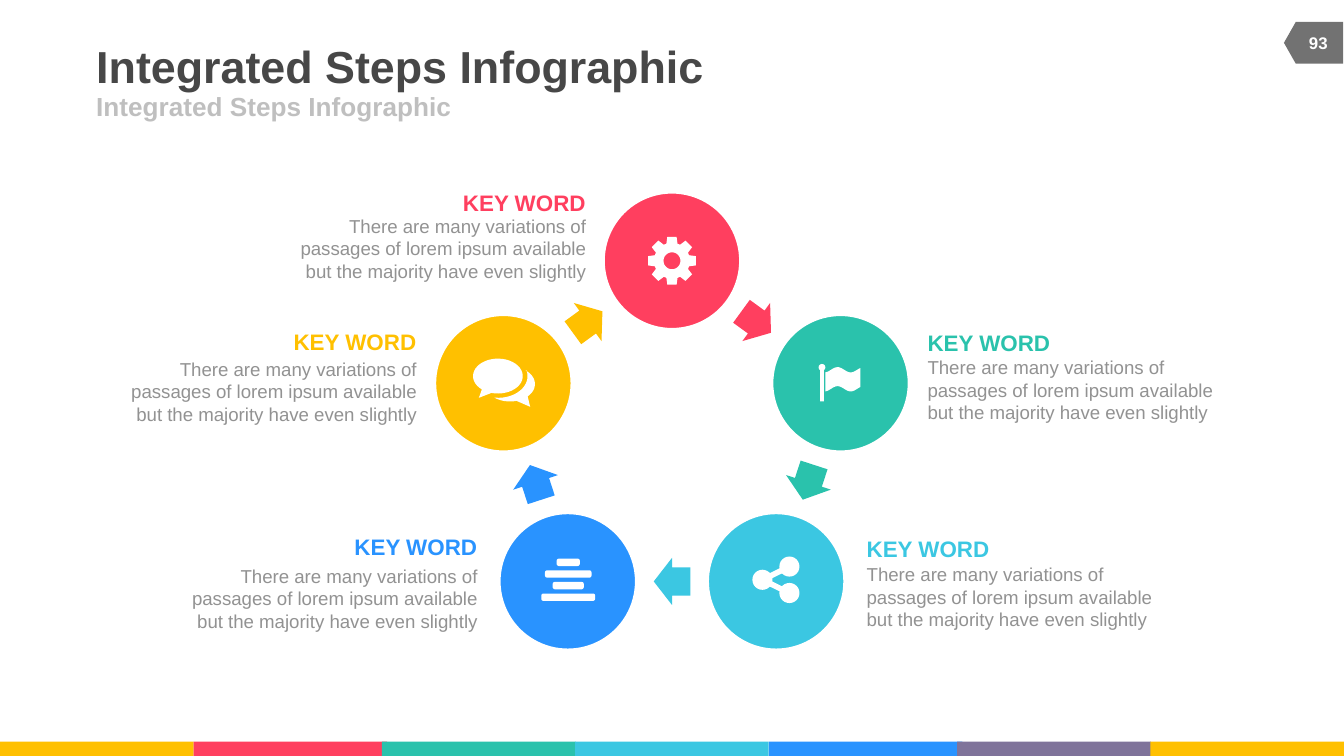
import math

import pptx
import pptx.dml.color
import pptx.enum.shapes
import pptx.enum.text
import pptx.oxml
import pptx.oxml.ns
import pptx.util

Cm = pptx.util.Cm
Pt = pptx.util.Pt
SHAPE = pptx.enum.shapes.MSO_SHAPE
ALIGN = pptx.enum.text.PP_ALIGN

WHITE, GREY = "FFFFFF", "929292"
RED, TEAL, CYAN, BLUE, YELLOW = "FF3F5F", "2AC2AC", "3BC7E2", "2993FF", "FFC000"
PURPLE = "7F739A"
RING_X, RING_Y, RING_RADIUS, ARROW_RADIUS = 12.7, 8.28, 3.35, 2.71
BODY = ("There are many variations of passages of lorem ipsum available "
        "but the majority have even slightly")
STEPS = [
    (RED, ALIGN.RIGHT, 11.07, 3.58, 4.06),
    (TEAL, ALIGN.LEFT, 17.53, 6.22, 6.73),
    (CYAN, ALIGN.LEFT, 16.38, 10.11, 10.64),
    (BLUE, ALIGN.RIGHT, 9.02, 10.08, 10.67),
    (YELLOW, ALIGN.RIGHT, 7.87, 6.2, 6.76),
]


def rgb(color):
    return pptx.dml.color.RGBColor.from_string(color)


def paint(shape, color):
    shape.shadow.inherit = False
    shape.fill.solid()
    shape.fill.fore_color.rgb = rgb(color)
    shape.line.fill.background()


def add_block(slide, kind, left, top, width, height, color):
    shape = slide.shapes.add_shape(kind, Cm(left), Cm(top), Cm(width), Cm(height))
    paint(shape, color)
    return shape


def add_centred(slide, kind, x, y, width, height, color):
    return add_block(slide, kind, x - width / 2, y - height / 2, width, height, color)


def add_outline(slide, color, *contours):
    builder = None
    for contour in contours:
        points = [(Cm(x), Cm(y)) for x, y in contour]
        if builder is None:
            builder = slide.shapes.build_freeform(*points[0], scale=1.0)
        else:
            builder.move_to(*points[0])
        builder.add_line_segments(points[1:], close=True)
    paint(builder.convert_to_shape(), color)


def add_text(slide, text, left, top, width, height, size, color,
             bold=False, align=ALIGN.LEFT):
    box = slide.shapes.add_textbox(Cm(left), Cm(top), Cm(width), Cm(height))
    frame = box.text_frame
    frame.word_wrap = True
    frame.vertical_anchor = pptx.enum.text.MSO_ANCHOR.MIDDLE
    frame.margin_left = frame.margin_right = 0
    frame.margin_top = frame.margin_bottom = 0
    para = frame.paragraphs[0]
    para.alignment = align
    span = para.add_run()
    span.text = text
    span.font.name = "Arial"
    span.font.size = Pt(size)
    span.font.bold = bold
    span.font.color.rgb = rgb(color)


def add_link(slide, start, end):
    link = slide.shapes.add_connector(
        pptx.enum.shapes.MSO_CONNECTOR.STRAIGHT,
        Cm(start[0]), Cm(start[1]), Cm(end[0]), Cm(end[1]))
    link.line.color.rgb = rgb(WHITE)
    link.line.width = Pt(3)
    properties = link._element.spPr
    properties.append(pptx.oxml.parse_xml(
        "<a:effectLst %s/>" % pptx.oxml.ns.nsdecls("a")))


def polar(x, y, radius, degrees):
    angle = math.radians(degrees)
    return x + radius * math.sin(angle), y - radius * math.cos(angle)


def arc(x, y, radius_x, radius_y, first, last, count=40):
    angles = [math.radians(first + (last - first) * i / count) for i in range(count + 1)]
    return [(x + radius_x * math.cos(a), y + radius_y * math.sin(a)) for a in angles]


def add_step(slide, index, color, align, edge, heading_top, body_top):
    turn = 72 * index
    x, y = polar(RING_X, RING_Y, RING_RADIUS, turn)
    circle = add_centred(slide, SHAPE.OVAL, x, y, 2.61, 2.61, color)
    circle.line.color.rgb = rgb(WHITE)
    circle.line.width = Pt(2)
    x, y = polar(RING_X, RING_Y, ARROW_RADIUS, turn + 36)
    arrow = add_centred(slide, SHAPE.RIGHT_ARROW, x, y, 0.69, 0.89, color)
    arrow.adjustments[0], arrow.adjustments[1] = 0.6, 0.5
    arrow.rotation = turn + 36
    for text, top, width, height, size, ink, bold in (
            ("KEY WORD", heading_top, 2.4, 0.51, 12, color, True),
            (BODY, body_top, 5.45, 1.27, 10, GREY, False)):
        left = edge - width if align == ALIGN.RIGHT else edge
        add_text(slide, text, left, top, width, height, size, ink, bold, align)


def add_gear(slide):
    x, y = 12.7, 4.93
    tooth = [(-18, 0.34), (-11, 0.46), (11, 0.46), (18, 0.34)]
    rim = [polar(x, y, radius, 45 * i + turn) for i in range(8) for turn, radius in tooth]
    add_outline(slide, WHITE, rim, arc(x, y, 0.16, 0.16, 360, 0))


def add_flag(slide):
    add_block(slide, SHAPE.RECTANGLE, 15.5, 6.95, 0.07, 0.64, WHITE)
    add_block(slide, SHAPE.OVAL, 15.47, 6.88, 0.13, 0.13, WHITE)
    steps = [i / 24 for i in range(25)]
    edge = [(15.6 + 0.66 * t, 6.99 - 0.05 * math.cos(2 * math.pi * (t - 0.35) / 0.75))
            for t in steps]
    add_outline(slide, WHITE, edge + [(x, y + 0.36) for x, y in reversed(edge)])


def add_share(slide):
    hub, *nodes = [(14.41, 10.96), (14.92, 10.71), (14.92, 11.21)]
    for node in nodes:
        add_link(slide, hub, node)
    for x, y in (hub, *nodes):
        add_centred(slide, SHAPE.OVAL, x, y, 0.38, 0.38, WHITE)


def add_bars(slide):
    for i, width in enumerate((0.44, 0.88, 0.59, 1.02)):
        bar = add_centred(slide, SHAPE.ROUNDED_RECTANGLE, 10.74, 10.63 + 0.22 * i,
                          width, 0.14, WHITE)
        bar.adjustments[0] = 0.3


def add_bubbles(slide):
    add_outline(slide, WHITE, arc(9.41, 7.11, 0.47, 0.33, 130, 465) + [(9.05, 7.52)])
    back = (9.64, 7.26, 0.47, 0.33)
    add_outline(slide, WHITE,
                arc(*back, -51, 45) + [(10.02, 7.69)] + arc(*back, 75, 129)
                + arc(9.42, 7.11, 0.55, 0.41, 98, -15))


def add_frame(slide):
    starts = (0, 3.66, 7.22, 10.87, 14.53, 18.09, 21.74)
    colors = (YELLOW, RED, TEAL, CYAN, BLUE, PURPLE, YELLOW)
    for left, color in zip(starts, colors):
        add_block(slide, SHAPE.RECTANGLE, left, 14.02, 3.66, 0.27, color)
    tag = add_block(slide, SHAPE.FLOWCHART_OFFPAGE_CONNECTOR,
                    24.43, 0.25, 0.79, 1.12, "727272")
    tag.rotation = 90
    add_text(slide, "93", 24.38, 0.43, 1.07, 0.76, 9, WHITE, True, ALIGN.CENTER)
    title = "Integrated Steps Infographic"
    add_text(slide, title, 1.82, 0.74, 15.67, 0.99, 24, "474747", True)
    add_text(slide, title, 1.82, 1.73, 11.43, 0.56, 14, "BFBFBF", True)


def main():
    deck = pptx.Presentation()
    deck.slide_width, deck.slide_height = Cm(25.4), Cm(14.29)
    slide = deck.slides.add_slide(deck.slide_layouts[6])
    add_frame(slide)
    for index, step in enumerate(STEPS):
        add_step(slide, index, *step)
    for add_icon in (add_gear, add_flag, add_share, add_bars, add_bubbles):
        add_icon(slide)
    deck.save("out.pptx")


if __name__ == "__main__":
    main()
